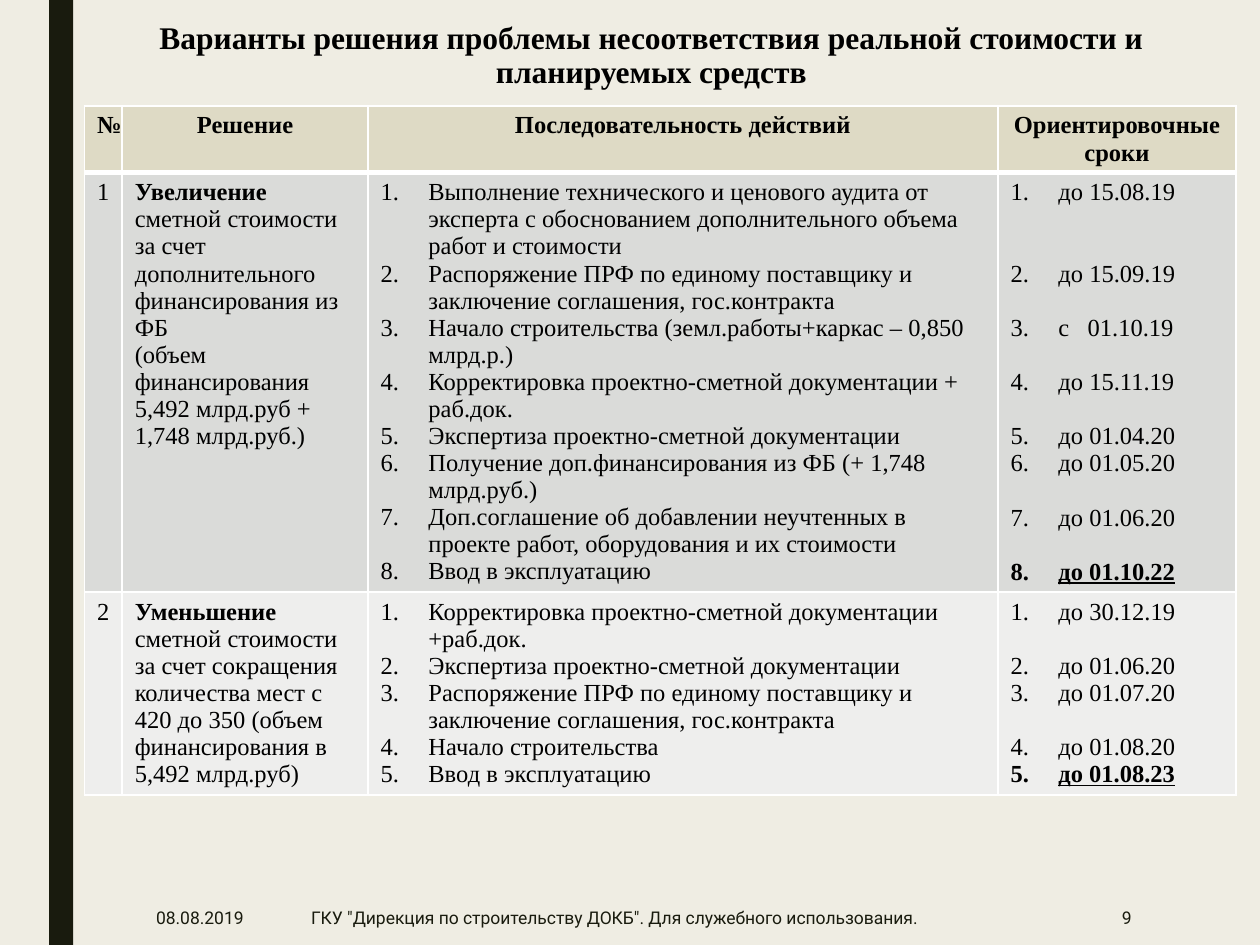
from lxml import etree
from pptx import Presentation
from pptx.dml.color import RGBColor
from pptx.enum import shapes, text
from pptx.oxml.ns import qn
from pptx.util import Inches, Pt

SERIF, SANS = "Times New Roman", "Roboto"
BLACK, DARK, WHITE = "000000", "191B0E", "FFFFFF"
LINE = 15.5
COLUMNS = [0.3, 1.95, 5, 1.89]
ROWS = [0.53, 3.32, 1.61]
FILLS = ["DEDAC5", "DADBD9", "EEEEED"]
HEADERS = ["№", "Решение", "Последовательность действий", "Ориентировочные сроки"]

OPTIONS = [
    {
        "lead": "Увеличение",
        "solution": [
            " сметной стоимости за счет дополнительного финансирования из ФБ",
            "(объем финансирования 5,492 млрд.руб + 1,748 млрд.руб.)",
        ],
        "steps": [
            ("Выполнение технического и ценового аудита от эксперта с обоснованием "
             "дополнительного объема работ и стоимости", "до 15.08.19", 3),
            ("Распоряжение ПРФ по единому поставщику и заключение соглашения, гос.контракта",
             "до 15.09.19", 2),
            ("Начало строительства (земл.работы+каркас – 0,850 млрд.р.)", "с   01.10.19", 2),
            ("Корректировка проектно-сметной документации + раб.док.", "до 15.11.19", 2),
            ("Экспертиза проектно-сметной документации", "до 01.04.20", 1),
            ("Получение доп.финансирования из ФБ (+ 1,748 млрд.руб.)", "до 01.05.20", 2),
            ("Доп.соглашение об добавлении неучтенных в проекте работ, оборудования "
             "и их стоимости", "до 01.06.20", 2),
            ("Ввод в эксплуатацию", "до 01.10.22", 1),
        ],
    },
    {
        "lead": "Уменьшение",
        "solution": [
            " сметной стоимости за счет сокращения количества мест с 420 до 350 "
            "(объем финансирования в 5,492 млрд.руб)",
        ],
        "steps": [
            ("Корректировка проектно-сметной документации +раб.док.", "до 30.12.19", 2),
            ("Экспертиза проектно-сметной документации", "до 01.06.20", 1),
            ("Распоряжение ПРФ по единому поставщику и заключение соглашения, гос.контракта",
             "до 01.07.20", 2),
            ("Начало строительства", "до 01.08.20", 1),
            ("Ввод в эксплуатацию", "до 01.08.23", 1),
        ],
    },
]


def rgb(value):
    return RGBColor.from_string(value)


def style(p, size, font=SERIF, color=BLACK, bold=False):
    for r in p.runs:
        r.font.size = Pt(size)
        r.font.name = font
        r.font.bold = bold
        r.font.color.rgb = rgb(color)


def add_bar(s):
    sp = s.shapes.add_shape(shapes.MSO_SHAPE.RECTANGLE, Inches(0.39), 0, Inches(0.19), Inches(7.5))
    sp.shadow.inherit = False
    sp.fill.solid()
    sp.fill.fore_color.rgb = rgb(DARK)
    sp.line.fill.background()


def set_title(s, words):
    sp = s.shapes.title
    sp.left, sp.top, sp.width, sp.height = Inches(0.67), Inches(0.13), Inches(9), Inches(0.6)
    tf = sp.text_frame
    tf.text = words
    tf.auto_size = text.MSO_AUTO_SIZE.NONE
    tf.vertical_anchor = text.MSO_ANCHOR.TOP
    p = tf.paragraphs[0]
    p.alignment = text.PP_ALIGN.CENTER
    p.line_spacing = 0.89
    style(p, 18, bold=True)


def add_footer(s, words, left, width, align=text.PP_ALIGN.LEFT):
    sp = s.shapes.add_textbox(Inches(left), Inches(7.06), Inches(width), Inches(0.44))
    tf = sp.text_frame
    tf.word_wrap = True
    tf.vertical_anchor = text.MSO_ANCHOR.MIDDLE
    tf.text = words
    tf.paragraphs[0].alignment = align
    style(tf.paragraphs[0], 10, SANS, DARK)


def set_borders(cell, bottom):
    tc_pr = cell._tc.get_or_add_tcPr()
    for i, (side, width) in enumerate([("L", 1), ("R", 1), ("T", 1), ("B", bottom)]):
        ln = etree.Element(qn(f"a:ln{side}"), w=str(Pt(width)))
        fill = etree.SubElement(ln, qn("a:solidFill"))
        etree.SubElement(fill, qn("a:srgbClr"), val=WHITE)
        tc_pr.insert(i, ln)


def fill_cell(cell, paragraphs, bold=False):
    tf = cell.text_frame
    tf.text = "\n".join(paragraphs)
    for p in tf.paragraphs:
        style(p, 14, bold=bold)
    return tf.paragraphs


def number(p):
    p_pr = p._p.get_or_add_pPr()
    p_pr.set("marL", str(Inches(0.38)))
    p_pr.set("indent", str(-Inches(0.38)))
    etree.SubElement(p_pr, qn("a:buFont"), typeface="+mj-lt")
    etree.SubElement(p_pr, qn("a:buAutoNum"), type="arabicPeriod")


def fill_solution(cell, lead, solution):
    p = fill_cell(cell, solution)[0]
    rest = p.text
    p.text = lead
    p.add_run().text = rest
    style(p, 14)
    p.runs[0].font.bold = True


def fill_steps(action_cell, date_cell, steps):
    actions, dates, lines = zip(*steps)
    for p in fill_cell(action_cell, actions):
        number(p)
    date_paragraphs = fill_cell(date_cell, dates)
    for p, count in zip(date_paragraphs, lines):
        p.space_after = Pt(LINE * (count - 1))
        number(p)
    final = date_paragraphs[-1].runs[0].font
    final.bold = final.underline = True


def add_options_table(s):
    table = s.shapes.add_table(len(ROWS), len(COLUMNS), Inches(0.67), Inches(0.84),
                               Inches(sum(COLUMNS)), Inches(sum(ROWS))).table
    for column, width in zip(table.columns, COLUMNS):
        column.width = Inches(width)
    for i, (row, height, color) in enumerate(zip(table.rows, ROWS, FILLS)):
        row.height = Inches(height)
        for cell in row.cells:
            cell.fill.solid()
            cell.fill.fore_color.rgb = rgb(color)
            set_borders(cell, 3 if i == 0 else 1)
    for i, words in enumerate(HEADERS):
        p = fill_cell(table.cell(0, i), [words], bold=True)[0]
        p.alignment = text.PP_ALIGN.CENTER if i else text.PP_ALIGN.LEFT
    for i, option in enumerate(OPTIONS, 1):
        fill_cell(table.cell(i, 0), [str(i)])
        fill_solution(table.cell(i, 1), option["lead"], option["solution"])
        fill_steps(table.cell(i, 2), table.cell(i, 3), option["steps"])


def main():
    prs = Presentation()
    prs.slide_width, prs.slide_height = Inches(10), Inches(7.5)
    s = prs.slides.add_slide(prs.slide_layouts[5])
    s.background.fill.solid()
    s.background.fill.fore_color.rgb = rgb("EFEDE3")
    add_bar(s)
    set_title(s, "Варианты решения проблемы несоответствия реальной стоимости и планируемых средств")
    add_options_table(s)
    add_footer(s, "9", 7.77, 1.31, text.PP_ALIGN.RIGHT)
    add_footer(s, "08.08.2019", 1.14, 0.99)
    add_footer(s, 'ГКУ "Дирекция по строительству ДОКБ". Для служебного использования.', 2.37, 5.15)
    prs.save("out.pptx")


if __name__ == "__main__":
    main()
